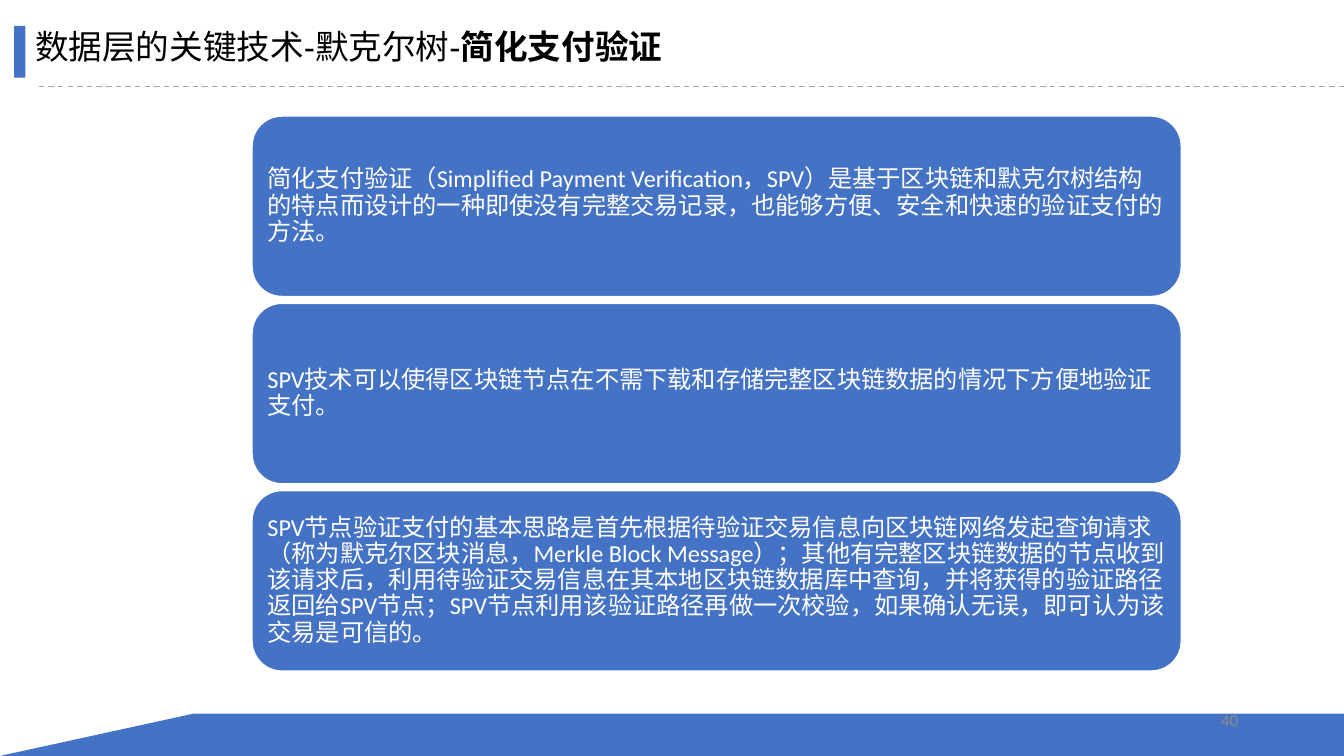
import pptx
import pptx.dml.color
import pptx.enum.dml
import pptx.enum.shapes
import pptx.enum.text
import pptx.oxml
import pptx.oxml.ns
import pptx.util

Cm = pptx.util.Cm
Pt = pptx.util.Pt
ALIGN = pptx.enum.text.PP_ALIGN
ANCHOR = pptx.enum.text.MSO_ANCHOR
SHAPE = pptx.enum.shapes.MSO_SHAPE

BLUE = "4472C4"
WHITE = "FFFFFF"
WIDTH, HEIGHT = 25.4, 14.29

SPV_POINTS = [
    "简化支付验证（Simplified Payment Verification，SPV）是基于区块链和默克尔树结构的特点"
    "而设计的一种即使没有完整交易记录，也能够方便、安全和快速的验证支付的方法。",
    "SPV技术可以使得区块链节点在不需下载和存储完整区块链数据的情况下方便地验证支付。",
    "SPV节点验证支付的基本思路是首先根据待验证交易信息向区块链网络发起查询请求"
    "（称为默克尔区块消息，Merkle Block Message）；其他有完整区块链数据的节点收到该请求后，"
    "利用待验证交易信息在其本地区块链数据库中查询，并将获得的验证路径返回给SPV节点；"
    "SPV节点利用该验证路径再做一次校验，如果确认无误，即可认为该交易是可信的。",
]


def rgb(value):
    return pptx.dml.color.RGBColor.from_string(value)


def paint(shape, fill, border=None):
    shape.shadow.inherit = False
    shape.fill.solid()
    shape.fill.fore_color.rgb = rgb(fill)
    if border:
        shape.line.color.rgb = rgb(border)
        shape.line.width = Pt(1)
    else:
        shape.line.fill.background()


def format_paragraph(paragraph, font_name, size, color, align=ALIGN.LEFT):
    paragraph.alignment = align
    for run in paragraph.runs:
        run.font.name = font_name
        run.font.size = Pt(size)
        run.font.color.rgb = rgb(color)


def add_heading(slide):
    heading = slide.shapes.title
    heading.left, heading.top = Cm(0.41), Cm(0.36)
    heading.width, heading.height = Cm(24.18), Cm(1.02)
    frame = heading.text_frame
    frame.auto_size = pptx.enum.text.MSO_AUTO_SIZE.NONE
    frame.vertical_anchor = ANCHOR.TOP
    paragraph = frame.paragraphs[0]
    paragraph.text = "数据层的关键技术-默克尔树-"
    topic = paragraph.add_run()
    topic.text = "简化支付验证"
    topic.font.bold = True
    format_paragraph(paragraph, "Arial", 18, "000000")


def add_dashed_rule(slide, left, right, y):
    rule = slide.shapes.add_connector(
        pptx.enum.shapes.MSO_CONNECTOR.STRAIGHT, Cm(left), Cm(y), Cm(right), Cm(y))
    rule.line.color.rgb = rgb("A6A6A6")
    rule.line.width = Pt(0.75)
    rule.line.dash_style = pptx.enum.dml.MSO_LINE.DASH
    properties = rule._element.spPr
    properties.append(pptx.oxml.parse_xml(
        f"<a:effectLst {pptx.oxml.ns.nsdecls('a')}/>"))


def add_accent_bar(slide):
    bar = slide.shapes.add_shape(
        SHAPE.RECTANGLE, Cm(0.27), Cm(0.49), Cm(0.21), Cm(0.98))
    paint(bar, BLUE)


def add_footer_band(slide, top):
    builder = slide.shapes.build_freeform(Cm(3.66), Cm(top))
    builder.add_line_segments([
        (Cm(WIDTH), Cm(top)), (Cm(WIDTH), Cm(HEIGHT)), (0, Cm(HEIGHT))])
    paint(builder.convert_to_shape(), BLUE)


def add_point_card(slide, text, top):
    card = slide.shapes.add_shape(
        SHAPE.ROUNDED_RECTANGLE, Cm(4.76), Cm(top), Cm(17.57), Cm(3.42))
    paint(card, BLUE, WHITE)
    frame = card.text_frame
    frame.word_wrap = True
    frame.vertical_anchor = ANCHOR.MIDDLE
    frame.margin_left = frame.margin_right = Cm(0.13)
    frame.margin_top = frame.margin_bottom = Cm(0.13)
    frame.text = text
    paragraph = frame.paragraphs[0]
    paragraph.line_spacing = 0.9
    format_paragraph(paragraph, "Calibri", 13, WHITE)


def add_page_number(slide, number):
    page = slide.shapes.add_textbox(Cm(17.93), Cm(13.23), Cm(5.72), Cm(0.76))
    frame = page.text_frame
    frame.word_wrap = True
    frame.vertical_anchor = ANCHOR.MIDDLE
    frame.text = number
    format_paragraph(frame.paragraphs[0], "Calibri", 9, "8C8C8C", ALIGN.RIGHT)


def main():
    deck = pptx.Presentation()
    deck.slide_width, deck.slide_height = Cm(WIDTH), Cm(HEIGHT)
    slide = deck.slides.add_slide(deck.slide_layouts.get_by_name("Title Only"))

    # Heading with its accent bar and rule
    add_heading(slide)
    add_dashed_rule(slide, 0.73, WIDTH, 1.63)
    add_accent_bar(slide)

    # Footer band
    add_footer_band(slide, 13.49)

    # Stacked cards on SPV
    for row, point in enumerate(SPV_POINTS):
        add_point_card(slide, point, 2.19 + row * 3.54)

    add_page_number(slide, "40")
    deck.save("out.pptx")


if __name__ == "__main__":
    main()
